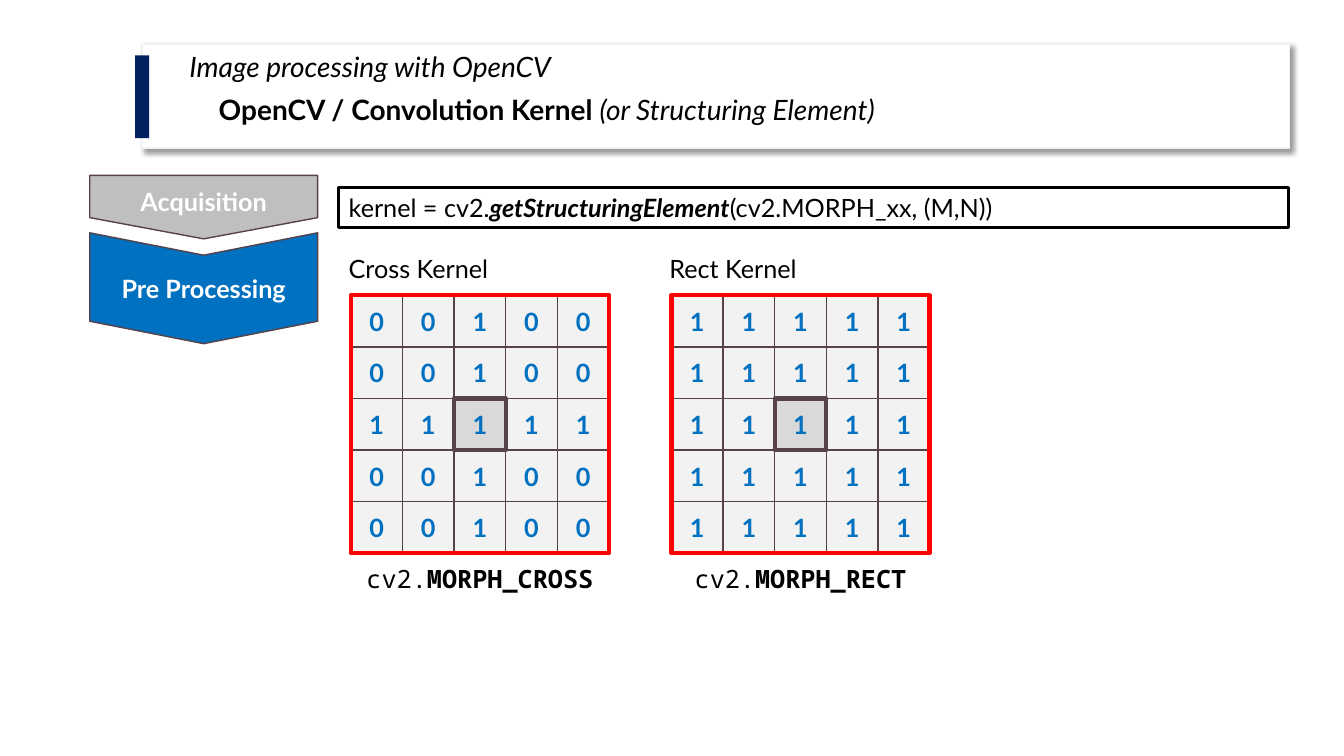
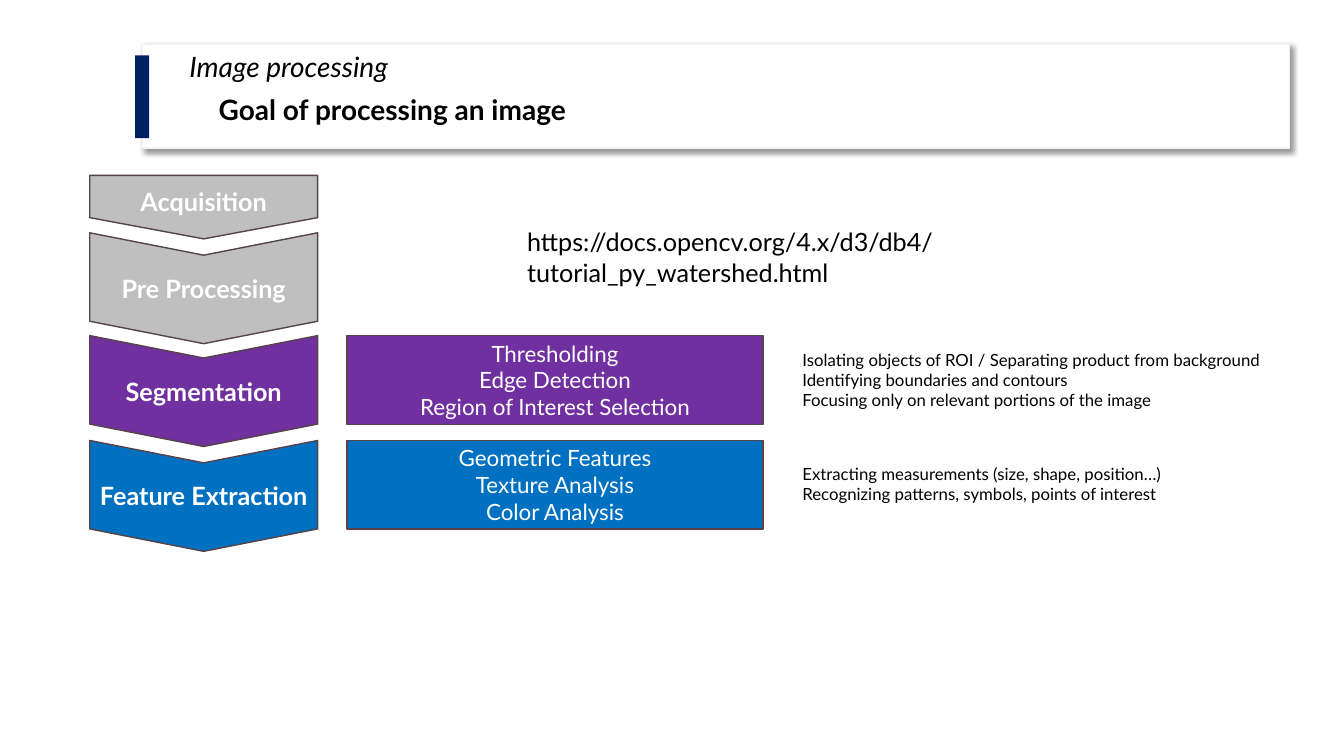
from lxml import etree
from pptx import Presentation, util as u
from pptx.dml.color import RGBColor
from pptx.enum import shapes, text
from pptx.oxml.ns import qn

PX = 9144  # EMU per px, 100 px to the inch
LATO, MONO = "Lato", "Noto Sans Mono"
BLACK, WHITE = RGBColor(0, 0, 0), RGBColor(255, 255, 255)
NAVY = RGBColor(0x00, 0x20, 0x60)
BLUE = RGBColor(0x00, 0x70, 0xC0)
PURPLE = RGBColor(0x70, 0x30, 0xA0)
RED = RGBColor(255, 0, 0)
OUTLINE = RGBColor(0x57, 0x42, 0x49)
PALE = RGBColor(0xF2, 0xF2, 0xF2)
LIGHT = RGBColor(0xD9, 0xD9, 0xD9)
GREY = RGBColor(0xBF, 0xBF, 0xBF)
MSO, CENTER = shapes.MSO_SHAPE, text.PP_ALIGN.CENTER

# Content: a paragraph is a list of (words, style), style being "", "b", "i" or "bi"
KERNEL_TITLE = ("Image processing with OpenCV",
                [("OpenCV / Convolution Kernel ", "b"), ("(or Structuring Element)", "i")])
GOAL_TITLE = ("Image processing", [("Goal of processing an image", "b")])

KERNEL_CALL = [("kernel = cv2.", ""), ("getStructuringElement", "bi"),
               ("(cv2.MORPH_xx, (M,N))", "")]
KERNELS = [  # left, heading, constant, rows
    (348, "Cross Kernel", "MORPH_CROSS", ["00100", "00100", "11111", "00100", "00100"]),
    (666, "Rect Kernel", "MORPH_RECT", ["11111"] * 5),
]
KERNEL_TOP, KERNEL_SIDE = 293, 256

STEPS = [  # name, top, height, shape, point depth
    ("Acquisition", 174, 63, MSO.PENTAGON, 0.334),
    ("Pre Processing", 231, 110, MSO.CHEVRON, 0.202),
    ("Segmentation", 333, 110, MSO.CHEVRON, 0.202),
    ("Feature Extraction", 437, 110, MSO.CHEVRON, 0.202),
]
STEP_LEFT, STEP_WIDTH = 89, 226

LINK = "https://docs.opencv.org/4.x/d3/db4/tutorial_py_watershed.html"
GOALS = [  # top, colour, methods, notes top, notes height, notes
    (333, PURPLE, ["Thresholding", "Edge Detection", "Region of Interest Selection"], 342, 71,
     ["Isolating objects of ROI / Separating product from background",
      "Identifying boundaries and contours",
      "Focusing only on relevant portions of the image"]),
    (437, BLUE, ["Geometric Features", "Texture Analysis", "Color Analysis"], 455, 50,
     ["Extracting measurements (size, shape, position…)",
      "Recognizing patterns, symbols, points of interest"]),
]


def px(*lengths):
    return [u.Emu(round(n * PX)) for n in lengths]


def plain(*lines, style=""):
    return [[(line, style)] for line in lines]


def write(sp, paragraphs, size, color=BLACK, font=LATO, align=None):
    tf = sp.text_frame
    tf.word_wrap = True
    for i, runs in enumerate(paragraphs):
        p = tf.paragraphs[0] if i == 0 else tf.add_paragraph()
        p.alignment = align
        p.font.name, p.font.size, p.font.color.rgb = font, u.Pt(size), color
        for words, style in runs:
            r = p.add_run()
            r.text = words
            f = p.font if len(runs) == 1 else r.font
            f.bold, f.italic = "b" in style, "i" in style


def add_text(s, box, paragraphs, size, **look):
    sp = s.shapes.add_textbox(*px(*box))
    write(sp, paragraphs, size, **look)
    return sp


def add_box(s, box, fill=None, line=None, width=1, kind=MSO.RECTANGLE):
    sp = s.shapes.add_shape(kind, *px(*box))
    sp.shadow.inherit = False
    if fill is None:
        sp.fill.background()
    else:
        sp.fill.solid()
        sp.fill.fore_color.rgb = fill
    if line is None:
        sp.line.fill.background()
    else:
        sp.line.color.rgb, sp.line.width = line, u.Pt(width)
    return sp


def drop_shadow(sp):
    effects = sp._element.spPr.find(qn("a:effectLst"))
    shadow = etree.SubElement(effects, qn("a:outerShdw"), blurRad=str(u.Pt(4)),
                              dist=str(u.Pt(3)), dir="2700000", algn="tl", rotWithShape="0")
    color = etree.SubElement(shadow, qn("a:srgbClr"), val="000000")
    etree.SubElement(color, qn("a:alpha"), val="40000")


def add_slide(prs, topic, title):
    s = prs.slides.add_slide(prs.slide_layouts[6])
    drop_shadow(add_box(s, (141, 44, 1138, 103), WHITE, PALE))
    add_box(s, (134, 55, 14, 82), NAVY)
    sp = add_text(s, (178, 48, 915, 77), plain(topic, style="i"), 20)
    sp.text_frame.paragraphs[0].line_spacing = 0.9
    add_text(s, (207, 87, 811, 44), [title], 20)
    return s


def add_steps(s, colors):
    for (name, top, height, kind, depth), color in zip(STEPS, colors):
        # Turned a quarter, so the unrotated box shares only its centre
        shift = (STEP_WIDTH - height) / 2
        sp = add_box(s, (STEP_LEFT + shift, top - shift, height, STEP_WIDTH),
                     color, OUTLINE, kind=kind)
        sp.rotation = 90
        sp.adjustments[0] = depth
        sp.text_frame._txBody.bodyPr.set("vert", "vert270")
        write(sp, plain(name, style="b"), 18, WHITE, align=CENTER)


def add_kernel(s, left, heading, constant, rows):
    cell, middle = KERNEL_SIDE / len(rows), len(rows) // 2
    add_text(s, (left - 12, 246, 200, 40), plain(heading), 18)
    cells = [(r, c) for r in range(len(rows)) for c in range(len(rows))]
    cells.sort(key=lambda rc: rc == (middle, middle))  # anchor cell on top
    for r, c in cells:
        fill, width = (LIGHT, 3) if r == c == middle else (PALE, 1)
        sp = add_box(s, (left + c * cell, KERNEL_TOP + r * cell, cell, cell),
                     fill, OUTLINE, width)
        write(sp, plain(rows[r][c], style="b"), 18, BLUE, align=CENTER)
    add_box(s, (left, KERNEL_TOP, KERNEL_SIDE, KERNEL_SIDE), line=RED, width=3)
    add_text(s, (left, 554, KERNEL_SIDE, 40), [[("cv2.", ""), (constant, "b")]], 18,
             font=MONO, align=CENTER)


def main():
    prs = Presentation()
    prs.slide_width, prs.slide_height = px(1333, 750)

    # Convolution kernels
    s = add_slide(prs, *KERNEL_TITLE)
    add_steps(s, [GREY, BLUE])
    for kernel in KERNELS:
        add_kernel(s, *kernel)
    sp = add_box(s, (336, 186, 942, 40), line=BLACK, width=2.25)
    write(sp, [KERNEL_CALL], 18, align=text.PP_ALIGN.LEFT)

    # Goals of processing
    s = add_slide(prs, *GOAL_TITLE)
    add_steps(s, [GREY, GREY, PURPLE, BLUE])
    for top, color, methods, notes_top, notes_height, notes in GOALS:
        sp = add_box(s, (344, top, 413, 88), color, OUTLINE)
        write(sp, plain(*methods), 16, WHITE, align=CENTER)
        add_text(s, (786, notes_top, 503, notes_height), plain(*notes), 12)
    add_text(s, (513, 220, 667, 71), plain(LINK), 18)

    prs.save("out.pptx")


if __name__ == "__main__":
    main()
